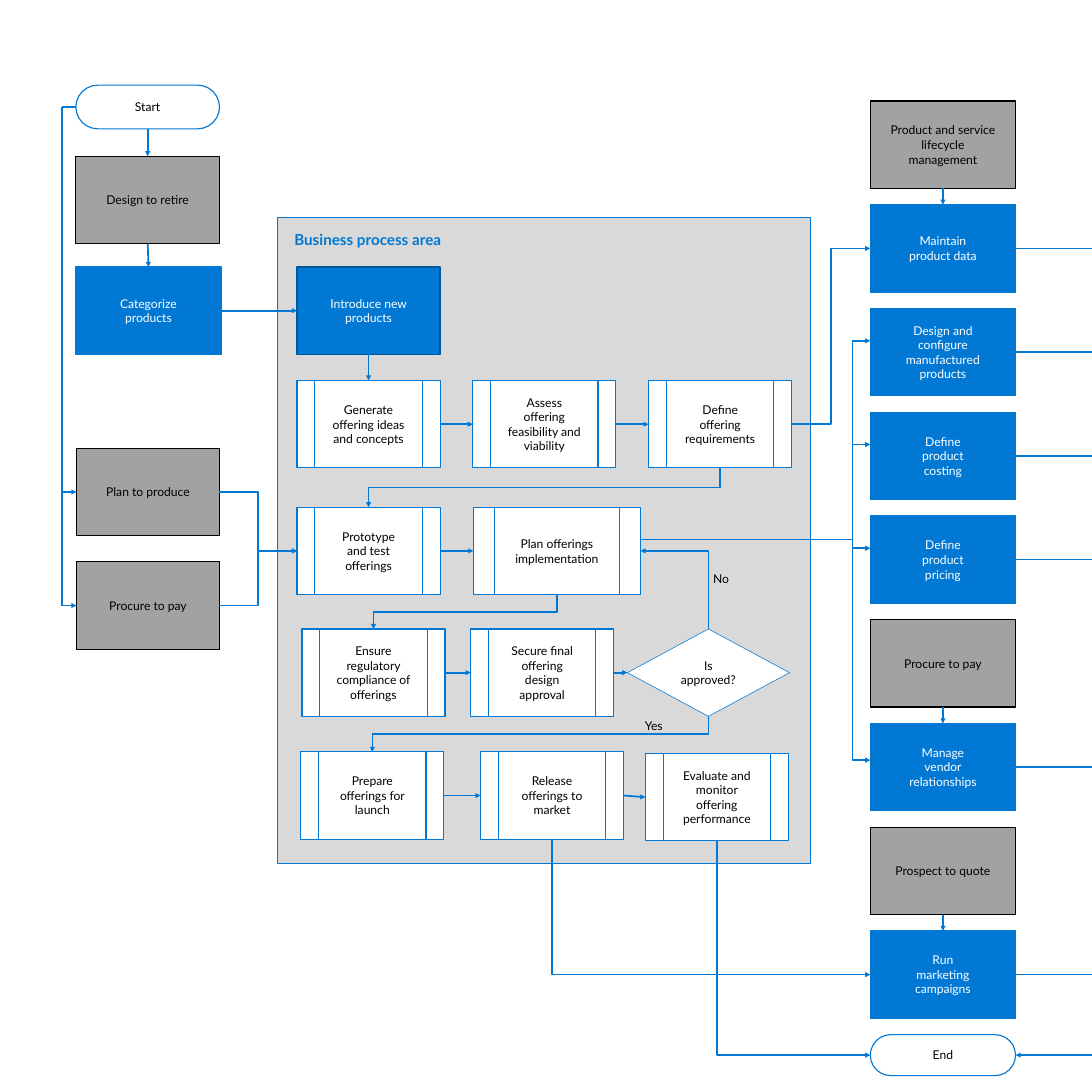
import enum
import functools
from dataclasses import dataclass
from typing import NamedTuple, Optional

import pptx
import pptx.dml.color
import pptx.enum.shapes
import pptx.enum.text
import pptx.oxml.ns
import pptx.util
from lxml import etree

Shape = pptx.enum.shapes.MSO_SHAPE
Elbow = pptx.enum.shapes.MSO_CONNECTOR
Align = pptx.enum.text.PP_ALIGN
Anchor = pptx.enum.text.MSO_ANCHOR
inches = pptx.util.Inches
qn = pptx.oxml.ns.qn


# Theme: colours, type and line weights
@dataclass(frozen=True)
class Theme:
    font: str = "Lato"
    body: int = 16
    heading: int = 20
    blue: str = "0078D4"
    deep_blue: str = "00599D"
    gray: str = "A2A2A2"
    panel: str = "D9D9D9"
    black: str = "000000"
    white: str = "FFFFFF"
    outline: float = 1.5
    arrow: float = 2.25


THEME = Theme()


class Look(NamedTuple):
    shape: int
    fill: str
    line: str
    ink: str
    weight: float = THEME.outline
    inset: tuple[float, float] = (0.3, 0.24)


class Kind(enum.Enum):
    TERMINAL = Look(Shape.ROUNDED_RECTANGLE, THEME.white, THEME.blue, THEME.black)
    EXTERNAL = Look(Shape.RECTANGLE, THEME.gray, THEME.black, THEME.black)
    STEP = Look(Shape.FLOWCHART_PREDEFINED_PROCESS, THEME.white, THEME.blue, THEME.black)
    RELATED = Look(Shape.FLOWCHART_PREDEFINED_PROCESS, THEME.blue, THEME.blue, THEME.white)
    FOCUS = Look(Shape.RECTANGLE, THEME.blue, THEME.deep_blue, THEME.white)
    DECISION = Look(Shape.DIAMOND, THEME.white, THEME.blue, THEME.black, 0.75, (0.2, 0.16))
    AREA = Look(Shape.RECTANGLE, THEME.panel, THEME.blue, THEME.blue)


# Grid: slide side, box size, columns and rows in inches
SIDE = 20
BOX_W, WIDE_W, BOX_H = 2.62, 2.66, 1.6
LEFT_COL, RIGHT_COL = 1.39, 15.94
AREA_COLS = [5.44 + 3.22 * n for n in range(3)]
AREA_ROWS = [4.89, 6.97, 9.29, 11.52, 13.77]
RIGHT_ROWS = [1.85 + 1.9 * n for n in range(9)]
BUS_X, FAN_X = 1.14, 15.61
FAN_SHARE = 0.37


class Point(NamedTuple):
    x: float
    y: float


@dataclass(frozen=True)
class Box:
    text: str
    kind: Kind
    left: float
    top: float
    width: float = BOX_W
    height: float = BOX_H

    def right_side(self, share: float = 0.5) -> Point:
        return Point(self.left + self.width, self.top + self.height * share)

    def left_side(self, share: float = 0.5) -> Point:
        return Point(self.left, self.top + self.height * share)

    @property
    def above(self) -> Point:
        return Point(self.left + self.width / 2, self.top)

    @property
    def below(self) -> Point:
        return Point(self.left + self.width / 2, self.top + self.height)


def rgb(value: str) -> pptx.dml.color.RGBColor:
    return pptx.dml.color.RGBColor.from_string(value)


def write(frame, text: str, *, color: str = THEME.black, size: int = THEME.body,
          bold: bool = False, align=Align.LEFT, anchor=Anchor.TOP, inset=(0, 0)) -> None:
    frame.word_wrap = True
    frame.vertical_anchor = anchor
    frame.margin_left = frame.margin_right = inches(inset[0])
    frame.margin_top = frame.margin_bottom = inches(inset[1])
    paragraph = frame.paragraphs[0]
    paragraph.alignment = align
    run = paragraph.add_run()
    run.text = text
    run.font.name, run.font.size, run.font.bold = THEME.font, pptx.util.Pt(size), bold
    run.font.color.rgb = rgb(color)


def place(slide, *args, **kwargs) -> Box:
    """Draw one box and return its geometry for the arrows."""
    box = Box(*args, **kwargs)
    look = box.kind.value
    shape = slide.shapes.add_shape(look.shape, *map(inches, (box.left, box.top, box.width, box.height)))
    shape.shadow.inherit = False
    if box.kind is Kind.TERMINAL:
        shape.adjustments[0] = 0.5
    shape.fill.solid()
    shape.fill.fore_color.rgb = rgb(look.fill)
    shape.line.color.rgb = rgb(look.line)
    shape.line.width = pptx.util.Pt(look.weight)
    heading = box.kind is Kind.AREA
    write(shape.text_frame, box.text, color=look.ink, inset=look.inset, bold=heading,
          size=THEME.heading if heading else THEME.body,
          align=Align.LEFT if heading else Align.CENTER,
          anchor=Anchor.TOP if heading else Anchor.MIDDLE)
    return box


def connect(slide, start: Point, end: Point, *, bends: int = 0, vertical: bool = False,
            turn_x: Optional[float] = None, head: bool = True) -> None:
    """Draw a line with 0, 1 or 2 bends; vertical means it leaves upright."""
    ends = [start, end]
    if vertical:
        mid = Point((start.x + end.x) / 2, (start.y + end.y) / 2)
        ends = [Point(mid.x + p.y - mid.y, mid.y - p.x + mid.x) for p in ends]
    line = slide.shapes.add_connector(Elbow.ELBOW if bends else Elbow.STRAIGHT,
                                      *(inches(value) for point in ends for value in point))
    line.line.color.rgb = rgb(THEME.blue)
    line.line.width = pptx.util.Pt(THEME.arrow)
    properties = line._element.spPr
    etree.SubElement(properties, qn("a:effectLst"))
    if vertical:
        properties.find(qn("a:xfrm")).set("rot", "5400000")
    geometry = properties.find(qn("a:prstGeom"))
    if bends == 1:
        geometry.set("prst", "bentConnector2")
    if turn_x is not None:
        share = (turn_x - start.x) / (end.x - start.x)
        guides = geometry.get_or_add_avLst()
        etree.SubElement(guides, qn("a:gd"), name="adj1", fmla=f"val {round(share * 100000)}")
    if head:
        etree.SubElement(properties.find(qn("a:ln")), qn("a:tailEnd"), type="triangle")


def main() -> None:
    deck = pptx.Presentation()
    deck.slide_width = deck.slide_height = inches(SIDE)
    slide = deck.slides.add_slide(deck.slide_layouts[6])
    box = functools.partial(place, slide)
    arrow = functools.partial(connect, slide)

    # Business process area
    box("Business process area", Kind.AREA, 5.09, 3.98, 9.76, 11.84)
    introduce = box("Introduce new products", Kind.FOCUS, AREA_COLS[0], AREA_ROWS[0])
    generate, assess, define = [
        box(text, Kind.STEP, left, AREA_ROWS[1]) for text, left in zip(
            ("Generate offering ideas and concepts", "Assess offering feasibility and viability",
             "Define offering requirements"), AREA_COLS)]
    prototype = box("Prototype and test offerings", Kind.STEP, AREA_COLS[0], AREA_ROWS[2])
    plan = box("Plan offerings implementation", Kind.STEP, 8.67, AREA_ROWS[2], 3.06)
    ensure = box("Ensure regulatory compliance of offerings", Kind.STEP, 5.53, AREA_ROWS[3])
    secure = box("Secure final offering design approval", Kind.STEP, 8.62, AREA_ROWS[3])
    approved = box("Is approved?", Kind.DECISION, 11.49, AREA_ROWS[3], 2.97)
    prepare = box("Prepare offerings for launch", Kind.STEP, 5.51, AREA_ROWS[4])
    release = box("Release offerings to market", Kind.STEP, 8.8, AREA_ROWS[4])
    evaluate = box("Evaluate and monitor offering performance", Kind.STEP, 11.82, 13.8)

    # Incoming processes
    start = box("Start", Kind.TERMINAL, LEFT_COL, 1.56, 2.63, 0.8)
    retire = box("Design to retire", Kind.EXTERNAL, LEFT_COL, 2.86, 2.63)
    categorize = box("Categorize products", Kind.RELATED, LEFT_COL, AREA_ROWS[0], WIDE_W)
    suppliers = [box(text, Kind.EXTERNAL, 1.4, top)
                 for text, top in (("Plan to produce", 8.21), ("Procure to pay", 10.29))]

    # Outgoing processes
    lifecycle, maintain, design, costing, pricing, procure, vendors, prospect, campaigns = [
        box(text, kind, RIGHT_COL, top, WIDE_W) for (text, kind), top in zip((
            ("Product and service lifecycle management", Kind.EXTERNAL),
            ("Maintain product data", Kind.RELATED),
            ("Design and configure manufactured products", Kind.RELATED),
            ("Define product costing", Kind.RELATED),
            ("Define product pricing", Kind.RELATED),
            ("Procure to pay", Kind.EXTERNAL),
            ("Manage vendor relationships", Kind.RELATED),
            ("Prospect to quote", Kind.EXTERNAL),
            ("Run marketing campaigns", Kind.RELATED)), RIGHT_ROWS)]
    end = box("End", Kind.TERMINAL, RIGHT_COL, 18.95, WIDE_W, 0.75)

    # Straight arrows
    for upper, lower in ((start, retire), (retire, categorize), (introduce, generate),
                         (lifecycle, maintain), (procure, vendors), (prospect, campaigns)):
        arrow(upper.below, lower.above)
    for before, after in ((categorize, introduce), (generate, assess), (assess, define),
                          (prototype, plan), (ensure, secure), (secure, approved),
                          (prepare, release), (release, evaluate)):
        arrow(before.right_side(), after.left_side())

    # Turns to the next row, the approval loop and the ways out
    for before, after in ((define, prototype), (plan, ensure), (approved, prepare)):
        arrow(before.below, after.above, bends=2, vertical=True)
    arrow(approved.above, plan.right_side(), bends=1, vertical=True)
    arrow(release.below, campaigns.left_side(), bends=1, vertical=True)
    arrow(evaluate.below, end.left_side(), bends=1, vertical=True)
    arrow(define.right_side(), maintain.left_side(), bends=2)
    for target, share in ((design, FAN_SHARE), (costing, FAN_SHARE), (pricing, FAN_SHARE), (vendors, 0.42)):
        arrow(plan.right_side(FAN_SHARE), target.left_side(share), bends=2, turn_x=FAN_X)

    # Branch from Start to the suppliers, and on to the prototype
    top, bottom = Point(BUS_X, start.left_side().y), Point(BUS_X, suppliers[-1].left_side().y)
    arrow(start.left_side(), top, head=False)
    arrow(top, bottom, head=False)
    for supplier in suppliers:
        arrow(Point(BUS_X, supplier.left_side().y), supplier.left_side())
        arrow(supplier.right_side(), prototype.left_side(), bends=2)

    # Lines to the slide edge and back to End
    for source in (maintain, design, costing, pricing, vendors, campaigns):
        arrow(source.right_side(), Point(SIDE, source.right_side().y), head=False)
    arrow(Point(SIDE, end.right_side().y), end.right_side())

    # Decision labels
    for answer, left, label_top in (("No", 13.06, 10.47), ("Yes", 11.81, 13.15)):
        label = slide.shapes.add_textbox(*map(inches, (left, label_top, 0.54, 0.27)))
        write(label.text_frame, answer)

    deck.save("out.pptx")


if __name__ == "__main__":
    main()
